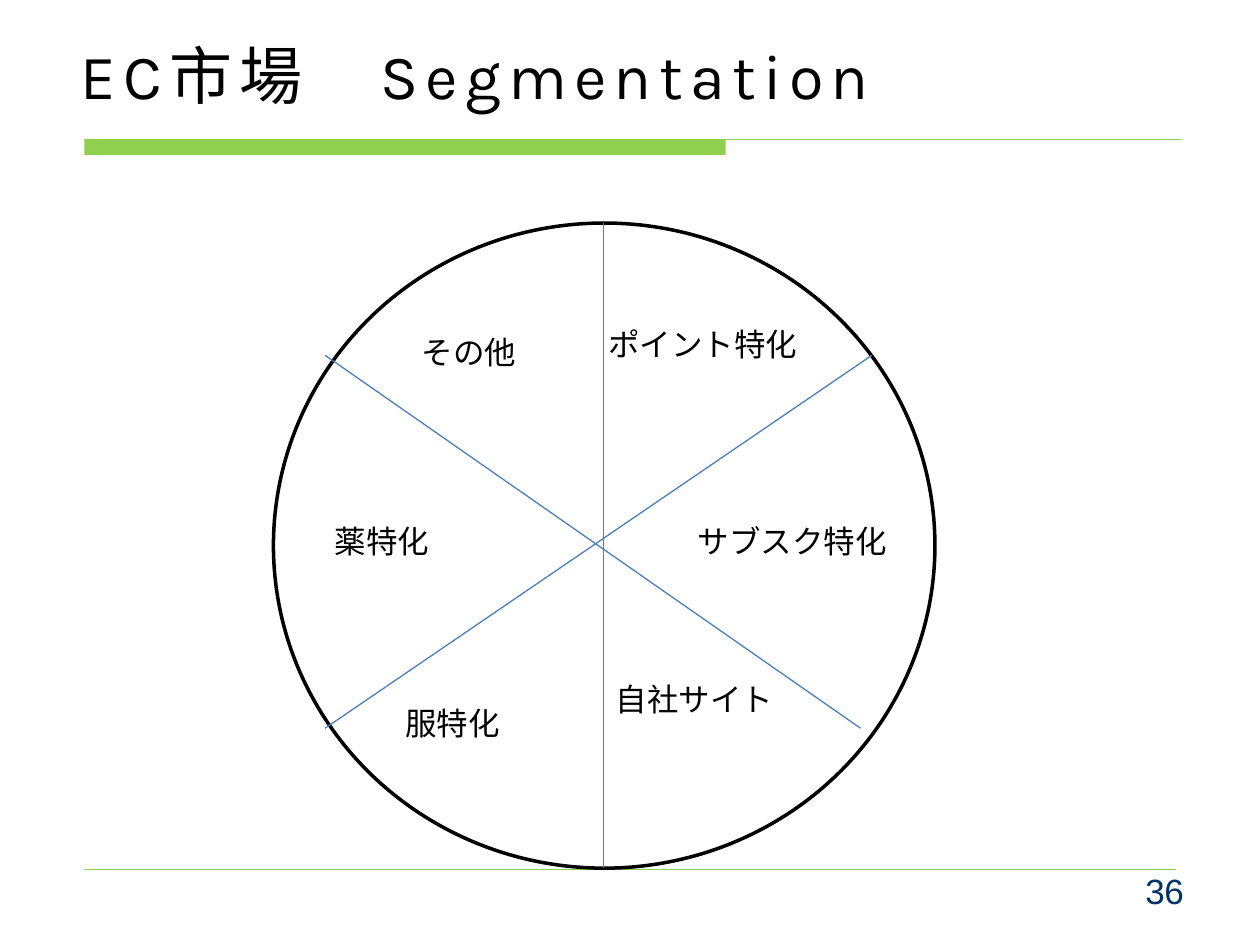
from lxml import etree
from pptx import Presentation, util as u
from pptx.dml.color import RGBColor
from pptx.enum import shapes, text
from pptx.oxml.ns import qn

GREEN, BLUE, BLACK, WHITE, NAVY = "91CF4F", "4B7EBC", "000000", "FFFFFF", "003366"


def rgb(value):
    return RGBColor.from_string(value)


class Deck:
    """Holds the text style and the current slide."""

    style = {"name": "Calibri", "size": u.Pt(18)}

    def __init__(self, prs):
        self.s = prs.slides.add_slide(prs.slide_layouts[6])

    def shape(self, kind, box, fill, line=None, width=1):
        sp = self.s.shapes.add_shape(kind, *map(u.Inches, box))
        sp.shadow.inherit = False
        sp.fill.solid()
        sp.fill.fore_color.rgb = rgb(fill)
        if line:
            sp.line.color.rgb = rgb(line)
            sp.line.width = u.Pt(width)
        else:
            sp.line.fill.background()

    def line(self, start, end, color, width=0.75):
        ends = map(u.Inches, (*start, *end))
        cn = self.s.shapes.add_connector(shapes.MSO_CONNECTOR.STRAIGHT, *ends)
        cn.line.color.rgb = rgb(color)
        cn.line.width = u.Pt(width)
        etree.SubElement(cn._element.spPr, qn("a:effectLst"))

    def text(self, words, box, color=BLACK, wrap=False, insets=(0.1, 0.05, 0.1, 0.05),
             spacing=0, before=0, **style):
        tf = self.s.shapes.add_textbox(*map(u.Inches, box)).text_frame
        frame = dict(zip(("margin_left", "margin_top", "margin_right", "margin_bottom"),
                         map(u.Inches, insets)))
        frame.update(word_wrap=wrap, auto_size=text.MSO_AUTO_SIZE.NONE)
        for name, value in frame.items():
            setattr(tf, name, value)
        p = tf.paragraphs[0]
        p.space_before = u.Pt(before)
        r = p.add_run()
        r.text = words
        for name, value in {**self.style, **style}.items():
            setattr(r.font, name, value)
        r.font.color.rgb = rgb(color)
        if spacing:
            r._r.get_or_add_rPr().set("spc", str(round(spacing * 100)))


def main():
    prs = Presentation()
    prs.slide_width, prs.slide_height = u.Inches(10), u.Inches(7.5)
    deck = Deck(prs)

    # Header and footer rules
    left, right, rule = 0.67, 9.37, 1.11
    deck.shape(shapes.MSO_SHAPE.RECTANGLE, (left, rule, 5.09, 0.12), GREEN)
    deck.line((left, rule), (right, rule), GREEN)
    deck.line((left, 6.9), (9.33, 6.9), GREEN, 0.25)

    # Page number and title
    deck.text("36", (9.08, 6.89, 0.34, 0.36), NAVY, insets=(0.01, 0.01, 0, 0),
              spacing=-0.2, before=1, name="Arial", size=u.Pt(20))
    deck.text("EC市場\u3000Segmentation", (0.25, 0.19, 9.07, 0.7), wrap=True,
              insets=(0.39, 0.1, 0, 0), spacing=4.2, before=1, name="Karla", size=u.Pt(36))

    # Circle and its dividers
    top, bottom, middle = 1.77, 6.89, 4.79
    upper, lower = 2.82, 5.78
    deck.shape(shapes.MSO_SHAPE.FLOWCHART_CONNECTOR, (2.17, top, 5.25, bottom - top),
               WHITE, BLACK, 2)
    deck.line((middle, top), (middle, bottom), BLUE)
    deck.line((6.92, upper), (2.58, lower), BLUE)
    deck.line((2.58, upper), (6.83, lower), BLUE)

    # Segment labels, clockwise: left, top, width, wrap
    segments = {
        "ポイント特化": (4.73, 2.53, 2.33, True),
        "サブスク特化": (5.44, 4.09, 1.72, False),
        "自社サイト": (4.79, 5.35, 1.46, False),
        "服特化": (3.12, 5.54, 1.44, True),
        "薬特化": (2.56, 4.09, 0.96, False),
        "その他": (3.25, 2.59, 0.96, False),
    }
    for label, (x, y, width, wrap) in segments.items():
        deck.text(label, (x, y, width, 0.4), wrap=wrap)

    prs.save("out.pptx")


if __name__ == "__main__":
    main()
